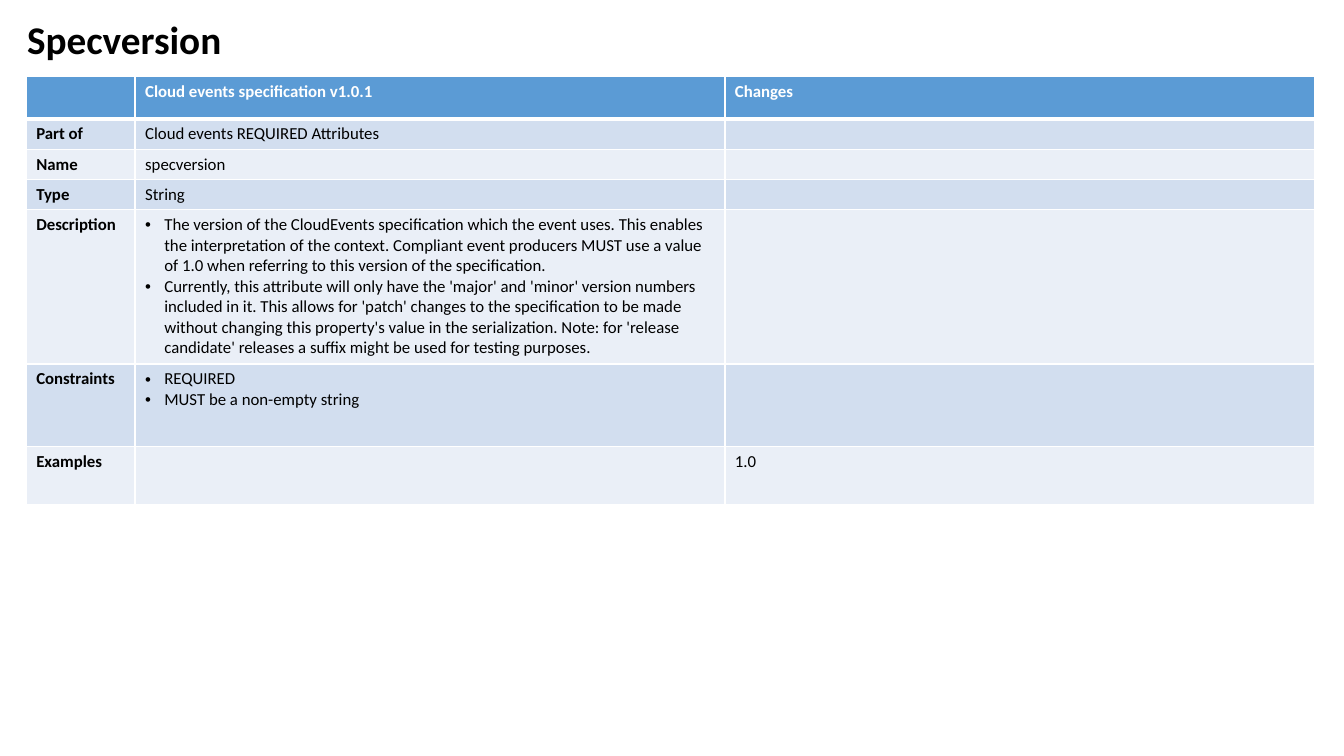
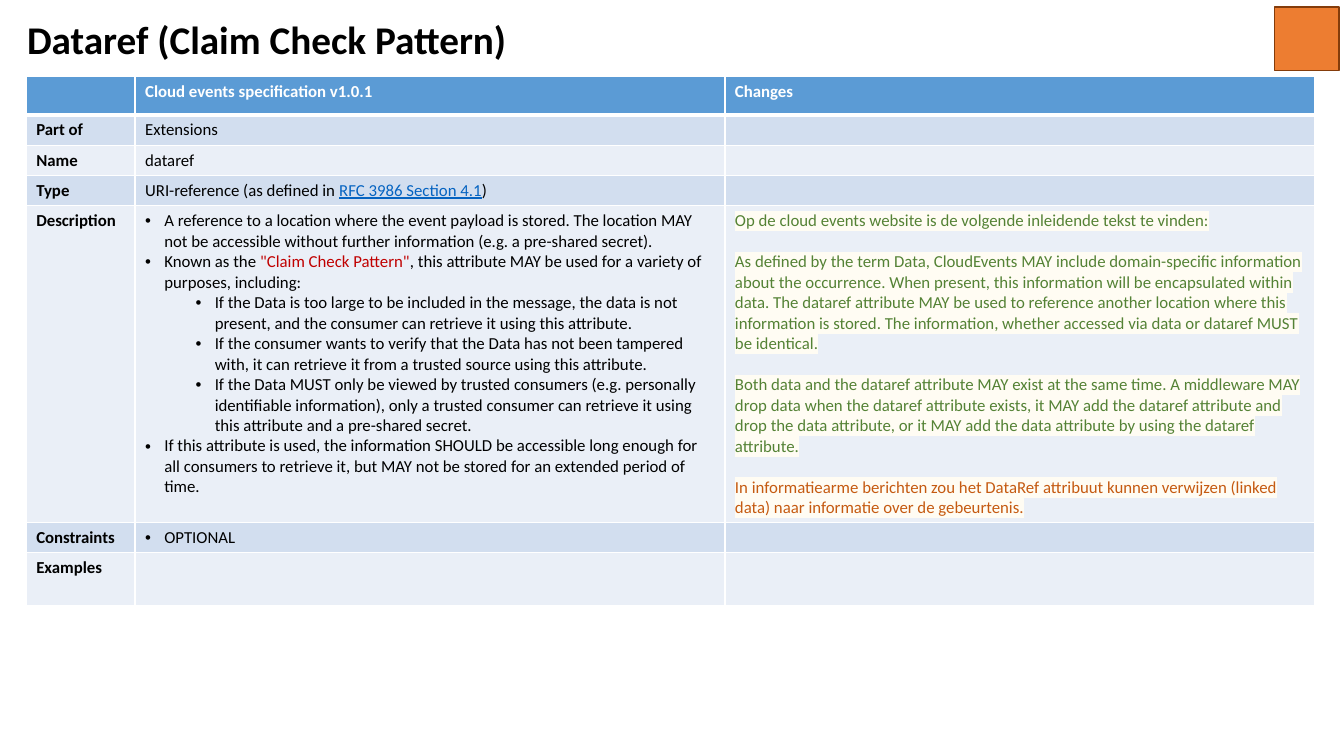
from lxml.etree import SubElement
from pptx import Presentation
from pptx.dml.color import RGBColor
from pptx.enum.shapes import MSO_SHAPE
from pptx.enum.text import MSO_ANCHOR
from pptx.oxml import parse_xml
from pptx.oxml.ns import nsdecls, qn
from pptx.util import Inches, Pt

HUE = {
    "head": "5B9BD5", "odd": "D2DEEF", "even": "EAEFF7",
    "white": "FFFFFF", "black": "000000", "link": "0563C1",
    "red": "C00000", "green": "548235", "rust": "C55A11",
    "glow": "FFFCF3", "mark": "ED7D31", "edge": "843C0B",
}
FONT = "Calibri"
SIZE = 12
LINE = 14.65  # height of one text line, in points
WIDE, HIGH = 13.33, 7.5
LEFT, TOP = 0.26, 0.76
COLS = (1.08, 5.85, 5.85)
HEAD = ("", "Cloud events specification v1.0.1", "Changes")
NAMES = ("Part of", "Name", "Type", "Description", "Constraints", "Examples")
ROW = 0.3


def color(name):
    return RGBColor.from_string(HUE[name])


def write(para, text, size=SIZE, hue="black", bold=False, line=False, glow=None):
    """Add one run; glow names the highlight behind it."""
    run = para.add_run()
    run.text = text
    font = run.font
    font.name, font.size, font.bold = FONT, Pt(size), bold
    font.underline = line
    font.color.rgb = color(hue)
    if glow:
        fill = font.fill._xPr.find(qn("a:solidFill"))
        fill.addnext(parse_xml(
            f'<a:highlight {nsdecls("a")}><a:srgbClr val="{HUE[glow]}"/></a:highlight>'))


def item(*runs, level=0):
    return {"runs": runs, "level": level}


def note(text, hue="green", gap=0):
    """Highlighted paragraph, with gap lines of space above."""
    return {"runs": [(text, {"hue": hue, "glow": "glow"})], "gap": gap}


def bullet(para, level):
    props = para._p.get_or_add_pPr()
    props.set("marL", str(Inches(0.19 + 0.5 * level)))
    props.set("indent", str(-Inches(0.19)))
    props.set("lvl", str(level))
    SubElement(props, qn("a:buFont")).set("typeface", "Arial")
    SubElement(props, qn("a:buChar")).set("char", "•")


def border(cell, widths):
    """Draw white sides; widths are in points, in the order L, R, T, B."""
    props = cell._tc.get_or_add_tcPr()
    for spot, (side, width) in enumerate(zip("LRTB", widths)):
        props.insert(spot, parse_xml(
            f'<a:ln{side} {nsdecls("a")} w="{Pt(width)}"><a:solidFill>'
            f'<a:srgbClr val="{HUE["white"]}"/></a:solidFill></a:ln{side}>'))


def fill_cell(cell, body, back, **form):
    """Fill a cell with a string or with a list of paragraphs."""
    cell.fill.solid()
    cell.fill.fore_color.rgb = color(back)
    frame = cell.text_frame
    if not body:
        end = SubElement(frame.paragraphs[0]._p, qn("a:endParaRPr"))
        end.set("sz", str(SIZE * 100))
        return
    parts = [{"runs": [body]}] if isinstance(body, str) else body
    for spot, part in enumerate(parts):
        para = frame.add_paragraph() if spot else frame.paragraphs[0]
        if "level" in part:
            bullet(para, part["level"])
        if part.get("gap"):
            para.space_before = Pt(LINE * part["gap"])
        for run in part["runs"]:
            text, extra = (run, {}) if isinstance(run, str) else run
            write(para, text, **{**form, **extra})


def add_title(slide, text):
    box = slide.shapes.add_textbox(
        Inches(0.17), Inches(0.07), Inches(5.95), Inches(0.69))
    frame = box.text_frame
    frame.word_wrap = True
    frame.vertical_anchor = MSO_ANCHOR.MIDDLE
    para = frame.paragraphs[0]
    para.line_spacing = 0.9
    write(para, text, size=28, bold=True)


def add_grid(slide, body, highs):
    """Add the table; body holds the pair of cells beside each row name."""
    rows = [HEAD] + [(name, *pair) for name, pair in zip(NAMES, body)]
    table = slide.shapes.add_table(
        len(rows), len(COLS), Inches(LEFT), Inches(TOP),
        Inches(sum(COLS)), Inches(sum(highs))).table
    for col, width in zip(table.columns, COLS):
        col.width = Inches(width)
    for r, (row, high) in enumerate(zip(rows, highs)):
        table.rows[r].height = Inches(high)
        back = "head" if r == 0 else "odd" if r % 2 else "even"
        for c, text in enumerate(row):
            cell = table.cell(r, c)
            fill_cell(cell, text, back, bold=r == 0 or c == 0,
                      hue="black" if r else "white")
            border(cell, (1, 1, 3 if r == 1 else 1, 1 if r else 3))


def add_mark(slide):
    box = slide.shapes.add_shape(
        MSO_SHAPE.RECTANGLE, Inches(12.64), Inches(0.07), Inches(0.64), Inches(0.63))
    box.shadow.inherit = False
    box.fill.solid()
    box.fill.fore_color.rgb = color("mark")
    box.line.color.rgb = color("edge")
    box.line.width = Pt(1)


def add_page(deck, title, body, highs):
    slide = deck.slides.add_slide(deck.slide_layouts[6])
    add_title(slide, title)
    add_grid(slide, body, highs)
    return slide


SPEC = [
    ("Cloud events REQUIRED Attributes", ""),
    ("specversion", ""),
    ("String", ""),
    ([
        item("The version of the CloudEvents specification which the event uses. "
             "This enables the interpretation of the context. Compliant event "
             "producers MUST use a value of 1.0 when referring to this version of "
             "the specification."),
        item("Currently, this attribute will only have the 'major' and 'minor' "
             "version numbers included in it. This allows for 'patch' changes to "
             "the specification to be made without changing this property's value "
             "in the serialization. Note: for 'release candidate' releases a suffix "
             "might be used for testing purposes."),
    ], ""),
    ([item("REQUIRED"), item("MUST be a non-empty string")], ""),
    ("", "1.0"),
]

DATA = [
    ("Extensions", ""),
    ("dataref", ""),
    ([{"runs": ["URI-reference (as defined in ",
                ("RFC 3986 Section 4.1", {"hue": "link", "line": True}), ")"]}], ""),
    ([
        item("A reference to a location where the event payload is stored. The "
             "location MAY not be accessible without further information (e.g. a "
             "pre-shared secret)."),
        item("Known as the ", ('"Claim Check Pattern"', {"hue": "red"}),
             ", this attribute MAY be used for a variety of purposes, including:"),
        item("If the Data is too large to be included in the message, the data is "
             "not present, and the consumer can retrieve it using this attribute.",
             level=1),
        item("If the consumer wants to verify that the Data has not been tampered "
             "with, it can retrieve it from a trusted source using this attribute.",
             level=1),
        item("If the Data MUST only be viewed by trusted consumers (e.g. personally "
             "identifiable information), only a trusted consumer can retrieve it "
             "using this attribute and a pre-shared secret.", level=1),
        item("If this attribute is used, the information SHOULD be accessible long "
             "enough for all consumers to retrieve it, but MAY not be stored for an "
             "extended period of time."),
    ], [
        note("Op de cloud events website is de volgende inleidende tekst te vinden:"),
        note("As defined by the term Data, CloudEvents MAY include domain-specific "
             "information about the occurrence. When present, this information will "
             "be encapsulated within data. The dataref attribute MAY be used to "
             "reference another location where this information is stored. The "
             "information, whether accessed via data or dataref MUST be identical.",
             gap=1),
        note("Both data and the dataref attribute MAY exist at the same time. A "
             "middleware MAY drop data when the dataref attribute exists, it MAY add "
             "the dataref attribute and drop the data attribute, or it MAY add the "
             "data attribute by using the dataref attribute.", gap=1),
        note("In informatiearme berichten zou het DataRef attribuut kunnen verwijzen "
             "(linked data) naar informatie over de gebeurtenis.", hue="rust", gap=1),
    ]),
    ([item("OPTIONAL")], ""),
    ("", ""),
]


def main():
    deck = Presentation()
    deck.slide_width, deck.slide_height = Inches(WIDE), Inches(HIGH)
    add_page(deck, "Specversion", SPEC, (0.42, ROW, ROW, ROW, 1.53, 0.82, 0.58))
    page = add_page(deck, "Dataref (Claim Check Pattern)", DATA,
                    (0.38, ROW, ROW, ROW, 3.14, ROW, 0.53))
    add_mark(page)
    deck.save("out.pptx")


if __name__ == "__main__":
    main()
